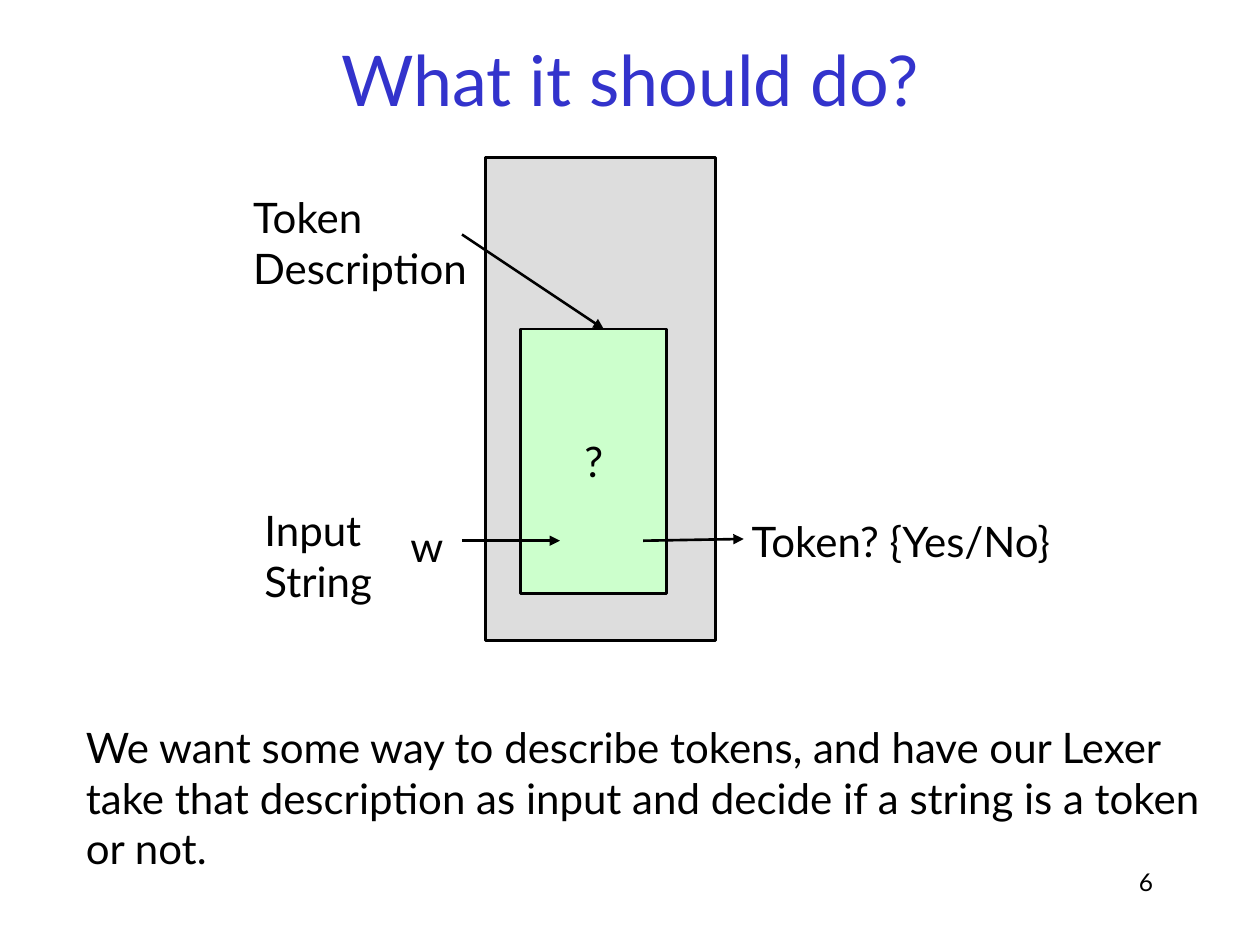
import pptx
import pptx.util
import pptx.dml.color
import pptx.enum.shapes
import pptx.enum.text
import pptx.oxml

Pt = pptx.util.Pt
ALIGN = pptx.enum.text.PP_ALIGN
ANCHOR = pptx.enum.text.MSO_ANCHOR

# Content: places are left, top, width, height in points
FONT = "Lato"
BLACK, BLUE, GREY, GREEN = "000000", "3333CC", "DDDDDD", "CCFFCC"
TITLE = ("What it should do?", (54, 0, 612, 90))
BOXES = [
    ("", (277.5, 90, 131.5, 276), GREY),
    ("?", (297.5, 188, 83.5, 151), GREEN),
]
ARROWS = [  # start and end points
    ((264, 134), (345, 188)),
    ((264, 309), (320, 309)),
    ((367.5, 309), (425, 308)),
]
LABELS = [  # text, place, wraps
    ("Token? {Yes/No}", (422.5, 291, 199, 36), False),
    ("Input\nString", (144, 285, 82, 65), False),
    ("Token\nDescription", (137.5, 106, 143, 65), False),
    ("w", (227.5, 294, 33, 36), True),
    ("We want some way to describe tokens, and have our Lexer take that "
     "description as input and decide if a string is a token or not.",
     (42, 409, 659, 94), True),
]
PAGE_NUMBER = ("6", (516, 492, 150, 36))


def rgb(hex_code):
    return pptx.dml.color.RGBColor.from_string(hex_code)


def points(values):
    return [Pt(value) for value in values]


def write(frame, text, size=24, color=BLACK, align=ALIGN.LEFT, anchor=ANCHOR.TOP, wrap=True):
    frame.text = text
    frame.word_wrap = wrap
    frame.vertical_anchor = anchor
    for paragraph in frame.paragraphs:
        paragraph.alignment = align
        for run in paragraph.runs:
            run.font.name = FONT
            run.font.size = Pt(size)
            run.font.color.rgb = rgb(color)


def add_box(slide, text, place, fill):
    box = slide.shapes.add_shape(pptx.enum.shapes.MSO_SHAPE.RECTANGLE, *points(place))
    box.shadow.inherit = False
    box.fill.solid()
    box.fill.fore_color.rgb = rgb(fill)
    box.line.color.rgb = rgb(BLACK)
    box.line.width = Pt(1.5)
    if text:
        write(box.text_frame, text, align=ALIGN.CENTER, anchor=ANCHOR.MIDDLE)


def add_arrow(slide, start, end):
    arrow = slide.shapes.add_connector(
        pptx.enum.shapes.MSO_CONNECTOR.STRAIGHT, *points(start + end))
    arrow.line.color.rgb = rgb(BLACK)
    arrow.line.width = Pt(1.5)
    head = pptx.oxml.parse_xml(
        '<a:tailEnd xmlns:a="http://schemas.openxmlformats.org/drawingml/2006/main" type="triangle"/>')
    arrow.line._get_or_add_ln().append(head)
    no_effects = pptx.oxml.parse_xml(
        '<a:effectLst xmlns:a="http://schemas.openxmlformats.org/drawingml/2006/main"/>')
    arrow._element.spPr.append(no_effects)


def add_label(slide, text, place, **style):
    label = slide.shapes.add_textbox(*points(place))
    write(label.text_frame, text, **style)


def main():
    deck = pptx.Presentation()
    deck.slide_width, deck.slide_height = Pt(720), Pt(540)
    slide = deck.slides.add_slide(deck.slide_layouts[5])

    # Title
    text, place = TITLE
    title = slide.shapes.title
    title.left, title.top, title.width, title.height = points(place)
    write(title.text_frame, text, size=40, color=BLUE, align=ALIGN.CENTER, anchor=ANCHOR.MIDDLE)

    # Lexer diagram
    for text, place, fill in BOXES:
        add_box(slide, text, place, fill)
    for start, end in ARROWS:
        add_arrow(slide, start, end)

    # Labels, explanation and page number
    for text, place, wrap in LABELS:
        add_label(slide, text, place, wrap=wrap)
    add_label(slide, *PAGE_NUMBER, size=14, align=ALIGN.RIGHT)

    deck.save("out.pptx")


if __name__ == "__main__":
    main()
